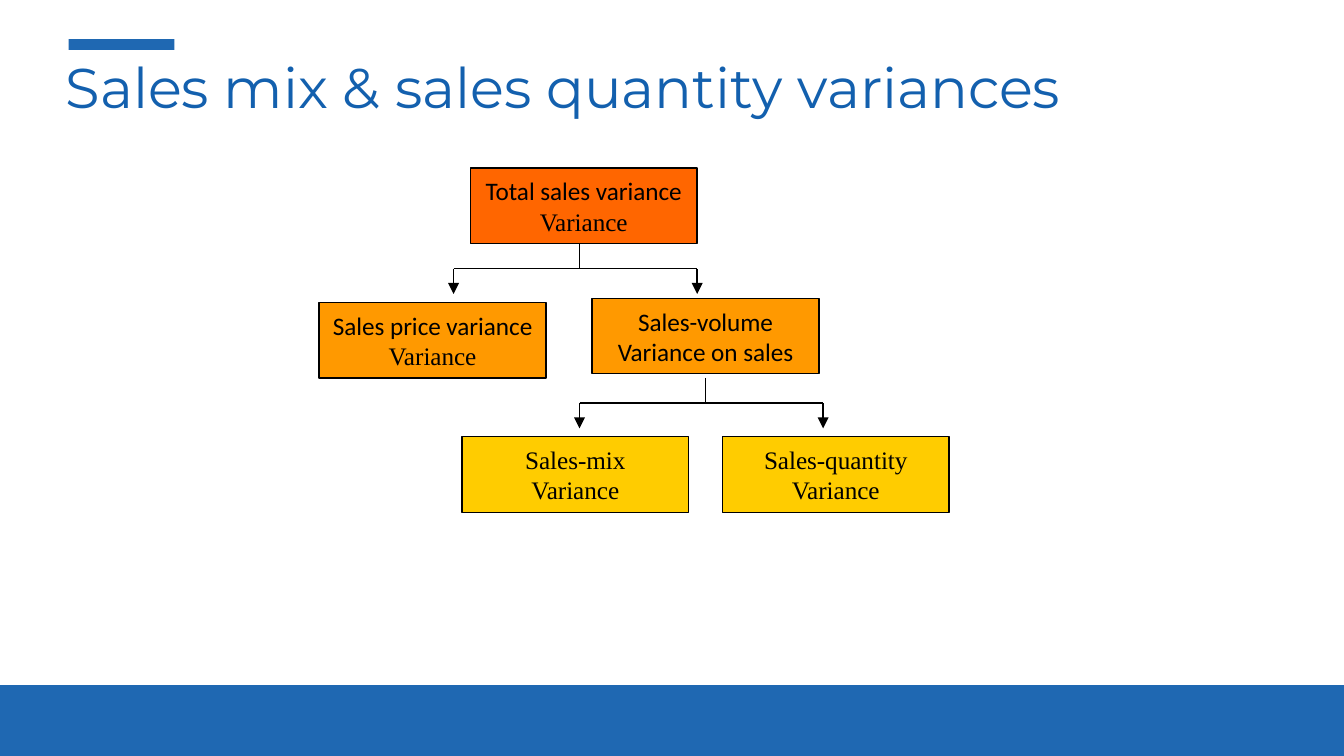
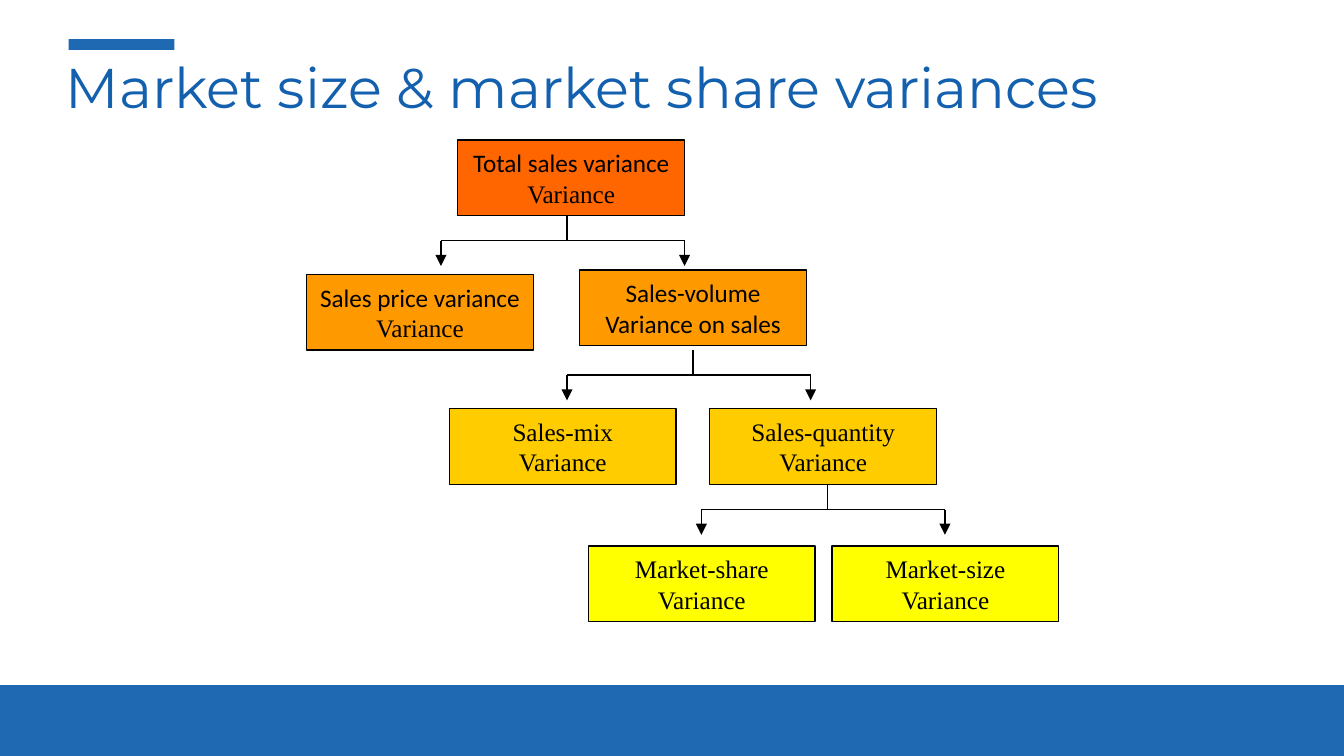
import pptx
import pptx.util
import pptx.dml.color
import pptx.enum.shapes
import pptx.enum.text
import pptx.oxml
import pptx.oxml.ns
from dataclasses import dataclass

Pt = pptx.util.Pt
MIDDLE = pptx.enum.text.MSO_ANCHOR.MIDDLE
CENTER = pptx.enum.text.PP_ALIGN.CENTER
LEFT = pptx.enum.text.PP_ALIGN.LEFT


@dataclass(frozen=True)
class Theme:
    """Colours, fonts and sizes shared by the slides."""
    brand: str = "1360AE"
    paper: str = "FFFFFF"
    ink: str = "000000"
    levels: tuple = ("FF6600", "FF9900", "FFCC00", "FFFF00")
    title_font: str = "Montserrat"
    sans: str = "Calibri"
    serif: str = "Times New Roman"
    title_size: float = 30
    box_size: float = 13.5
    line_width: float = 0.75


THEME = Theme()
SLIDE_W, SLIDE_H = 720, 405
BOX_W, BOX_H = 121.5, 40.5
LEVEL_STEP = 72
FORK_DROP = 13.5
ARM_LEFT, ARM_RIGHT = 67.5, 63

SANS_LINES = (THEME.sans, THEME.sans)
SERIF_LINES = (THEME.serif, THEME.serif)
MIXED_LINES = (THEME.sans, THEME.serif)

SALES_NODES = [
    (0, 81, 0, ("Total sales variance", "Variance"), MIXED_LINES),
    (1, 0, 72, ("Sales price variance", "Variance"), MIXED_LINES),
    (1, 146.25, 69.75, ("Sales-volume", "Variance on sales"), SANS_LINES),
    (2, 76.5, 144, ("Sales-mix", "Variance"), SERIF_LINES),
    (2, 216, 144, ("Sales-quantity", "Variance"), SERIF_LINES),
]
MARKET_NODES = [
    (3, 151, 217.5, ("Market-share", "Variance"), SERIF_LINES),
    (3, 281.5, 217.5, ("Market-size", "Variance"), SERIF_LINES),
]
FORK_STEMS = [139.5, 207, 279]


def rgb(value):
    """Turn a hex string into a colour."""
    return pptx.dml.color.RGBColor.from_string(value)


def add_text(p, text, font, size, color, align=LEFT):
    """Add one formatted run to a paragraph."""
    p.alignment = align
    r = p.add_run()
    r.text = text
    r.font.name = font
    r.font.size = Pt(size)
    r.font.color.rgb = rgb(color)


def add_rect(slide, x, y, w, h, fill, line=None, alpha=None):
    """Draw a flat rectangle, optionally outlined or translucent."""
    kind = pptx.enum.shapes.MSO_SHAPE.RECTANGLE
    sp = slide.shapes.add_shape(kind, Pt(x), Pt(y), Pt(w), Pt(h))
    sp.shadow.inherit = False
    sp.fill.solid()
    sp.fill.fore_color.rgb = rgb(fill)
    if line:
        sp.line.color.rgb = rgb(line)
        sp.line.width = Pt(THEME.line_width)
    else:
        sp.line.fill.background()
    if alpha:
        clr = sp._element.spPr.find(".//" + pptx.oxml.ns.qn("a:srgbClr"))
        pptx.oxml.ns.qn("a:alpha")
        clr.append(clr.makeelement(pptx.oxml.ns.qn("a:alpha"), {"val": str(alpha * 1000)}))
    return sp


def add_line(slide, x1, y1, x2, y2, arrow=False):
    """Draw a straight line, with an arrowhead at its end if asked."""
    kind = pptx.enum.shapes.MSO_CONNECTOR.STRAIGHT
    cxn = slide.shapes.add_connector(kind, Pt(x1), Pt(y1), Pt(x2), Pt(y2))
    cxn.line.color.rgb = rgb(THEME.ink)
    cxn.line.width = Pt(THEME.line_width)
    qn = pptx.oxml.ns.qn
    if arrow:
        ln = cxn.line._get_or_add_ln()
        ln.append(ln.makeelement(qn("a:tailEnd"), {"type": "triangle"}))
    sp_pr = cxn._element.spPr
    sp_pr.append(sp_pr.makeelement(qn("a:effectLst"), {}))


def add_box(slide, x, y, level, lines, fonts):
    """Draw one variance box with a centred line per font."""
    sp = add_rect(slide, x, y, BOX_W, BOX_H, THEME.levels[level], THEME.ink)
    tf = sp.text_frame
    tf.word_wrap = False
    tf.vertical_anchor = MIDDLE
    tf.margin_left = tf.margin_right = Pt(5)
    tf.margin_top = tf.margin_bottom = Pt(3)
    for i, (text, font) in enumerate(zip(lines, fonts)):
        p = tf.add_paragraph() if i else tf.paragraphs[0]
        add_text(p, text, font, THEME.box_size, THEME.ink, align=CENTER)


def add_fork(slide, x, y):
    """Draw a stem at x, y that splits into two arrows."""
    bar_y = y + FORK_DROP
    left, right = x - ARM_LEFT, x + ARM_RIGHT
    add_line(slide, x, y, x, bar_y)
    add_line(slide, left, bar_y, right, bar_y)
    for arm in (left, right):
        add_line(slide, arm, bar_y, arm, bar_y + FORK_DROP, arrow=True)


def add_tree(slide, left, top, nodes):
    """Place the variance tree from its upper left corner."""
    for level, x, y, lines, fonts in nodes:
        add_box(slide, left + x, top + y, level, lines, fonts)
    depth = max(node[0] for node in nodes)
    for i, stem in enumerate(FORK_STEMS[:depth]):
        add_fork(slide, left + stem, top + BOX_H + i * LEVEL_STEP)


def set_up_layout(layout):
    """Place and anchor the title of the shared layout."""
    title = next(ph for ph in layout.placeholders if ph.placeholder_format.idx == 0)
    title.left, title.top, title.width, title.height = Pt(28), Pt(24.5), Pt(667), Pt(37.5)
    tf = title.text_frame
    tf.vertical_anchor = pptx.enum.text.MSO_ANCHOR.TOP
    tf.auto_size = pptx.enum.text.MSO_AUTO_SIZE.NONE


def move_bands_to_master(prs, slide):
    """Draw the band and title accent, then hand them to the master."""
    bands = [
        add_rect(slide, 0, 0, SLIDE_W, SLIDE_H, THEME.brand, alpha=95),
        add_rect(slide, 0, 0, SLIDE_W, 367, THEME.paper),
        add_rect(slide, 36.75, 21, 56.75, 5.75, THEME.brand, alpha=95),
    ]
    tree = prs.slide_master.shapes._spTree
    for i, sp in enumerate(bands):
        tree.insert(2 + i, sp._element)


def add_tree_slide(prs, layout, title, left, top, nodes):
    """Add a slide with a title and a variance tree."""
    slide = prs.slides.add_slide(layout)
    p = slide.shapes.title.text_frame.paragraphs[0]
    add_text(p, title, THEME.title_font, THEME.title_size, THEME.brand)
    add_tree(slide, left, top, nodes)
    return slide


def main():
    """Build and save the presentation."""
    prs = pptx.Presentation()
    prs.slide_width, prs.slide_height = Pt(SLIDE_W), Pt(SLIDE_H)
    layout = prs.slide_layouts.get_by_name("Title Only")
    set_up_layout(layout)
    slide = add_tree_slide(prs, layout, "Sales mix & sales quantity variances",
                           171, 90, SALES_NODES)
    move_bands_to_master(prs, slide)
    add_tree_slide(prs, layout, "Market size & market share variances",
                   164.25, 75, SALES_NODES + MARKET_NODES)
    prs.save("out.pptx")


if __name__ == "__main__":
    main()
